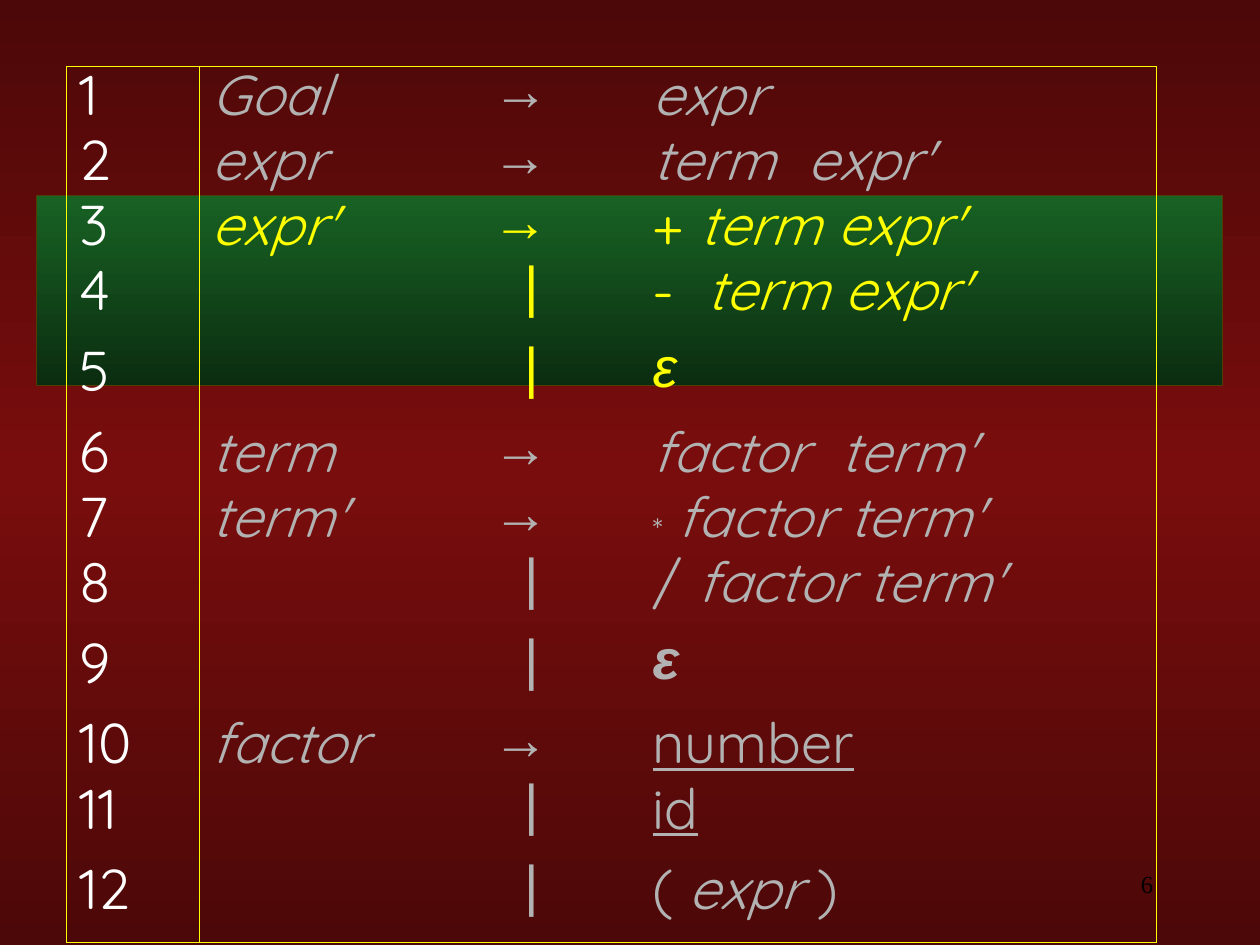
from lxml import etree
from pptx import Presentation
from pptx import util as u
from pptx.dml.color import RGBColor
from pptx.enum import shapes, text
from pptx.oxml.ns import qn

WHITE, GREY, YELLOW = "FFFFFF", "B2B2B2", "FFFF00"
PLAIN, ITALIC = {}, {"italic": True}
WIDE = {"spacing": 9.6}  # a widened gap between two symbols
ARROW, BAR = "→", "|"

# Grammar: left side, operator, right side as (text, format), colour
GRAMMAR = [
    ("Goal", ARROW, [("expr", ITALIC)], GREY),
    ("expr", ARROW, [("term", ITALIC), (" ", WIDE), ("expr'", ITALIC)], GREY),
    ("expr'", ARROW, [("+", PLAIN), (" term expr'", ITALIC)], YELLOW),
    ("", BAR, [("-", PLAIN), (" ", WIDE), ("term expr'", ITALIC)], YELLOW),
    ("", BAR, [("ε", {"italic": True, "font": "Arial"})], YELLOW),
    ("term", ARROW, [("factor", ITALIC), (" ", WIDE), ("term'", ITALIC)], GREY),
    ("term'", ARROW, [("*", {"baseline": -8}), (" factor term'", ITALIC)], GREY),
    ("", BAR, [("∕", PLAIN), (" factor term'", ITALIC)], GREY),
    ("", BAR, [("ε", {"italic": True, "bold": True, "font": "Arial"})], GREY),
    ("factor", ARROW, [("number", {"underline": True})], GREY),
    ("", BAR, [("id", {"underline": True})], GREY),
    ("", BAR, [("( ", PLAIN), ("expr", ITALIC), (" )", PLAIN)], GREY),
]
BOLD_ARROWS = {"Goal", "term", "term'", "factor"}
COLUMN_WIDTHS = [1.05, 2.23, 1.27, 4.1]
ROW_HEIGHTS = {ARROW: 0.5, BAR: 0.64}


def color(value):
    return RGBColor.from_string(value)


def gradient(fill, owner, stops):
    """Fill from top to bottom with (percent, colour) stops."""
    fill.gradient()
    fill.gradient_angle = 270
    stop_list = owner.find(".//" + qn("a:gsLst"))
    for old in list(stop_list):
        stop_list.remove(old)
    for percent, value in stops:
        stop = etree.SubElement(stop_list, qn("a:gs"), pos=str(percent * 1000))
        etree.SubElement(stop, qn("a:srgbClr"), val=value)


def add_span(para, words, font="Quicksand", size=32, fill=WHITE, bold=False,
             italic=False, underline=False, baseline=0, spacing=0):
    span = para.add_run()
    span.text = words
    span.font.name, span.font.size = font, u.Pt(size)
    span.font.bold, span.font.italic, span.font.underline = bold, italic, underline
    span.font.color.rgb = color(fill)
    properties = span.font._element
    if baseline:
        properties.set("baseline", str(baseline * 1000))
    if spacing:
        properties.set("spc", str(int(spacing * 100)))


def set_borders(cell, sides):
    """Draw yellow lines on the given sides and none on the others."""
    properties = cell._tc.get_or_add_tcPr()
    for side in "LRTB":
        line = etree.SubElement(properties, qn("a:ln" + side), w=str(u.Pt(0.45)))
        if side in sides:
            solid = etree.SubElement(line, qn("a:solidFill"))
            etree.SubElement(solid, qn("a:srgbClr"), val=YELLOW)
        else:
            etree.SubElement(line, qn("a:noFill"))


def build_page(page):
    # Background
    gradient(page.background.fill, page._element,
             [(0, "4C0808"), (50, "790D0D"), (100, "4C0808")])

    # Highlight behind rules 3 to 5
    band = page.shapes.add_shape(shapes.MSO_SHAPE.RECTANGLE, u.Inches(0.29),
                                 u.Inches(1.55), u.Inches(9.41), u.Inches(1.51))
    band.shadow.inherit = False
    gradient(band.fill, band._element, [(0, "186224"), (100, "0B2D10")])
    band.line.color.rgb = color("503C04")
    band.line.width = u.Pt(0.75)

    # Grammar table, without a banded style
    heights = [ROW_HEIGHTS[operator] for _, operator, _, _ in GRAMMAR]
    frame = page.shapes.add_table(
        len(GRAMMAR), len(COLUMN_WIDTHS), u.Inches(0.53), u.Inches(0.53),
        u.Inches(sum(COLUMN_WIDTHS)), u.Inches(sum(heights)))
    table = frame.table
    table.first_row = table.horz_banding = False
    style = table._tbl.tblPr.find(qn("a:tableStyleId"))
    style.text = "{2D5ABB26-0587-4C30-8999-92F81FD0307C}"
    for column, width in zip(table.columns, COLUMN_WIDTHS):
        column.width = u.Inches(width)

    last = len(GRAMMAR) - 1
    for index, (left, operator, right, fill) in enumerate(GRAMMAR):
        table.rows[index].height = u.Inches(heights[index])
        operator_format = {"font": "Arial", "bold": left in BOLD_ARROWS}
        contents = [
            ([(str(index + 1), PLAIN)], WHITE),
            ([(left, ITALIC)] if left else [], fill),
            ([(operator, operator_format)], fill),
            (right, fill),
        ]
        edges = ("T" if index == 0 else "") + ("B" if index == last else "")
        for number, (spans, ink) in enumerate(contents):
            cell = table.cell(index, number)
            set_borders(cell, edges + ("LR", "L", "", "R")[number])
            cell.fill.background()
            para = cell.text_frame.paragraphs[0]
            para.line_spacing = 0.75
            if spans and spans[0][0] == BAR:
                para._p.get_or_add_pPr().set("marL", str(u.Inches(0.25)))
            for words, style_options in spans:
                add_span(para, words, fill=ink, **style_options)

    # Page number
    box = page.shapes.add_textbox(u.Inches(7.17), u.Inches(6.83),
                                  u.Inches(2.08), u.Inches(0.36))
    box.text_frame.word_wrap = True
    box.text_frame.vertical_anchor = text.MSO_ANCHOR.MIDDLE
    para = box.text_frame.paragraphs[0]
    para.alignment = text.PP_ALIGN.RIGHT
    add_span(para, "6", font="Times New Roman", size=14, fill="000000")


def main():
    deck = Presentation()
    deck.slide_width, deck.slide_height = u.Inches(10), u.Inches(7.5)
    build_page(deck.slides.add_slide(deck.slide_layouts[6]))
    deck.save("out.pptx")


if __name__ == "__main__":
    main()
